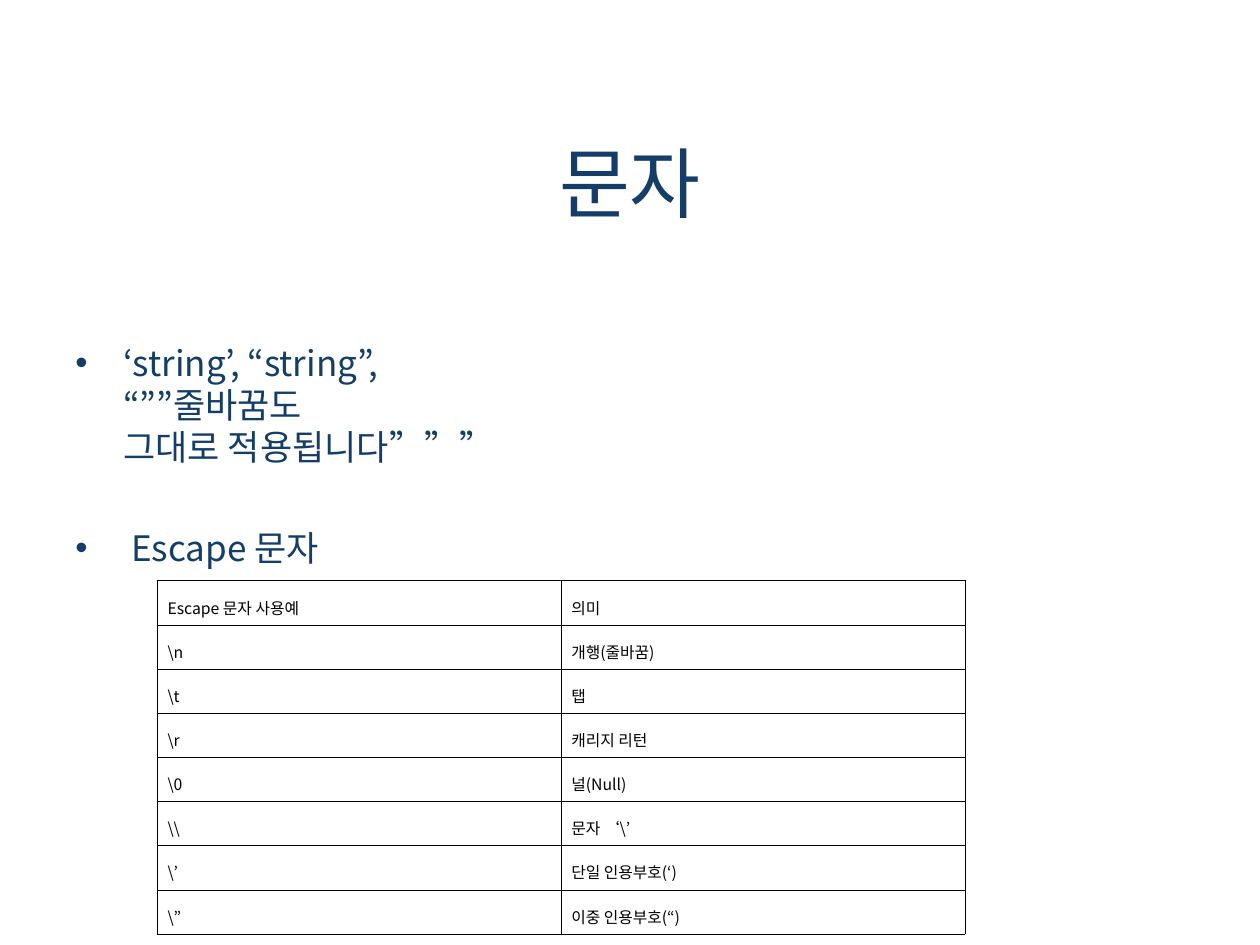
from lxml import etree
from pptx import Presentation
from pptx.dml.color import RGBColor
from pptx.enum.text import MSO_ANCHOR, PP_ALIGN
from pptx.oxml.ns import qn
from pptx.util import Inches, Pt

LEFT, CENTER = PP_ALIGN.LEFT, PP_ALIGN.CENTER
TOP, MIDDLE = MSO_ANCHOR.TOP, MSO_ANCHOR.MIDDLE
FONT = "Noto Sans CJK KR"
NAVY, BLACK = "143D68", "000000"
UNIT = 0.25

POINTS = ["‘string’, “string”,\n“””줄바꿈도\n그대로 적용됩니다”””", " Escape 문자"]
ROWS = [
    ("Escape 문자 사용예", "의미"),
    (r"\n", "개행(줄바꿈)"),
    (r"\t", "탭"),
    (r"\r", "캐리지 리턴"),
    (r"\0", "널(Null)"),
    (r"\\", r"문자 ‘\’"),
    (r"\’", "단일 인용부호(‘)"),
    (r"\”", "이중 인용부호(“)"),
]


def color(code):
    return RGBColor.from_string(code)


def grid(*cells):
    return [Inches(cell * UNIT) for cell in cells]


def node(parent, tag, **attrs):
    return etree.SubElement(parent, qn(tag), attrs)


def write(par, text, size=20, ink=NAVY, align=LEFT, lead=None, before=0):
    par.text = text
    par.alignment = align
    par.space_before = Pt(before)
    if lead:
        par.line_spacing = Pt(lead)
    for run in par.runs:
        font = run.font
        font.size, font.bold, font.name = Pt(size), False, FONT
        font.color.rgb = color(ink)
        node(run._r.get_or_add_rPr(), "a:ea", typeface=FONT)


class Deck:
    """Holds the style and the current slide, placed on a quarter-inch grid."""

    def __init__(self):
        self.show = Presentation()
        self.show.slide_width, self.show.slide_height = grid(40, 30)
        self.slide = self.show.slides.add_slide(self.show.slide_layouts[5])

    def title(self, text, *box):
        shape = self.slide.shapes.title
        shape.left, shape.top, shape.width, shape.height = grid(*box)
        shape.text_frame.vertical_anchor = MIDDLE
        write(shape.text_frame.paragraphs[0], text, size=44, align=CENTER)

    def bullets(self, items, *box, gap=34):
        frame = self.slide.shapes.add_textbox(*grid(*box)).text_frame
        frame.word_wrap = True
        frame.vertical_anchor = TOP
        for i, text in enumerate(items):
            par = frame.add_paragraph() if i else frame.paragraphs[0]
            write(par, text, lead=24, before=gap if i else 2)
            props = par._p.get_or_add_pPr()
            props.set("marL", str(Inches(0.38)))
            props.set("indent", str(-Inches(0.38)))
            node(node(props, "a:buClr"), "a:srgbClr", val=NAVY)
            node(props, "a:buFont", typeface="Arial")
            node(props, "a:buChar", char="•")

    def border(self, cell, width=0.45):
        props = cell._tc.get_or_add_tcPr()
        for side in "LRTB":
            line = node(props, f"a:ln{side}", w=str(Pt(width)))
            node(node(line, "a:solidFill"), "a:srgbClr", val=BLACK)

    def table(self, rows, *box):
        size = len(rows), len(rows[0])
        table = self.slide.shapes.add_table(*size, *grid(*box)).table
        table.first_row = table.horz_banding = False
        for r, row in enumerate(rows):
            for c, text in enumerate(row):
                cell = table.cell(r, c)
                cell.margin_left = cell.margin_right = Inches(0.08)
                cell.margin_top = cell.margin_bottom = Inches(0.05)
                write(cell.text_frame.paragraphs[0], text, size=9, ink=BLACK, lead=18)
                self.border(cell)
                cell.fill.background()


def main():
    deck = Deck()
    deck.title("문자", 2, 3.28, 36, 5)
    deck.bullets(POINTS, 2, 10.64, 36, 17.48)
    deck.table(ROWS, 5, 18.44, 25.64, len(ROWS))
    deck.show.save("out.pptx")


if __name__ == "__main__":
    main()
